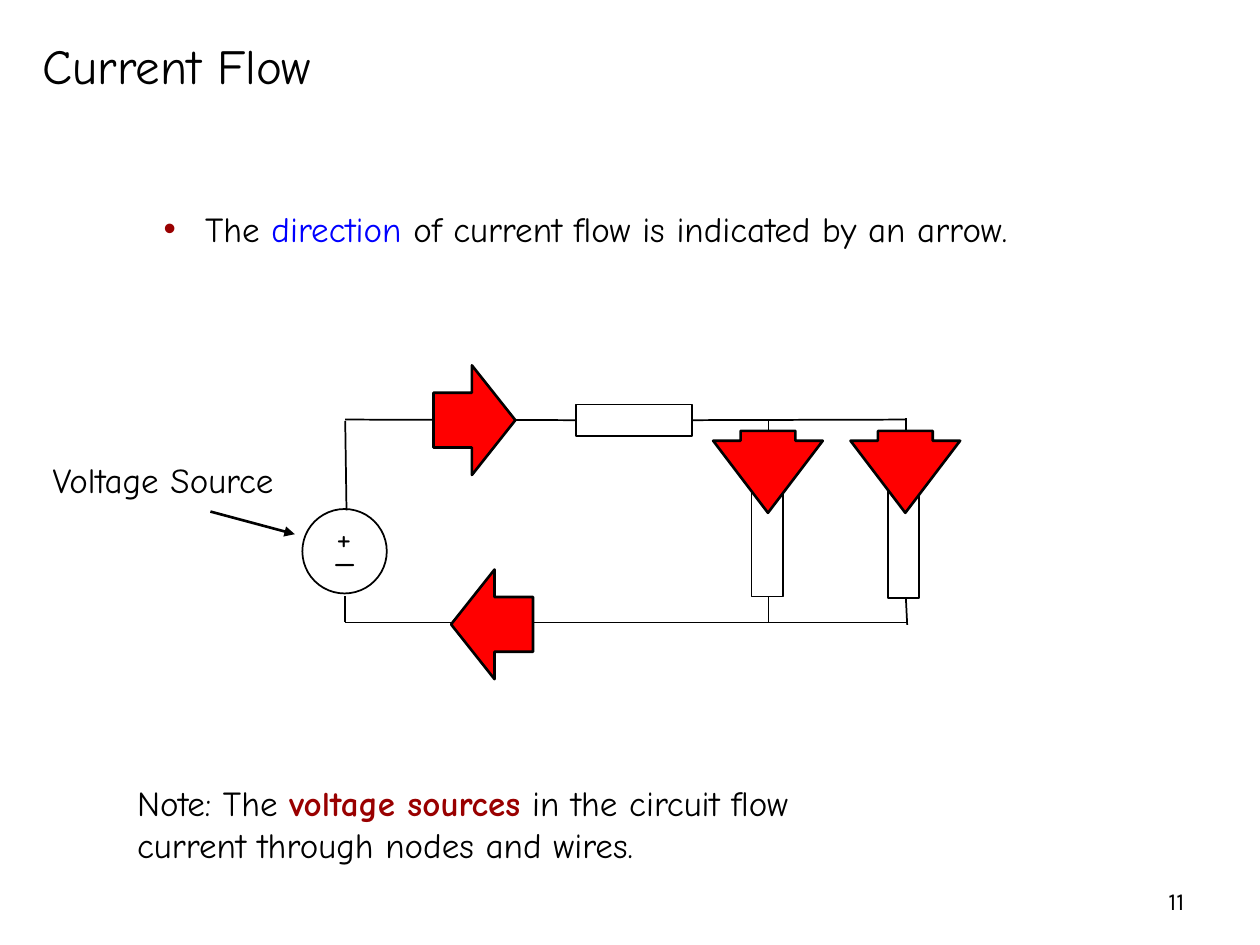
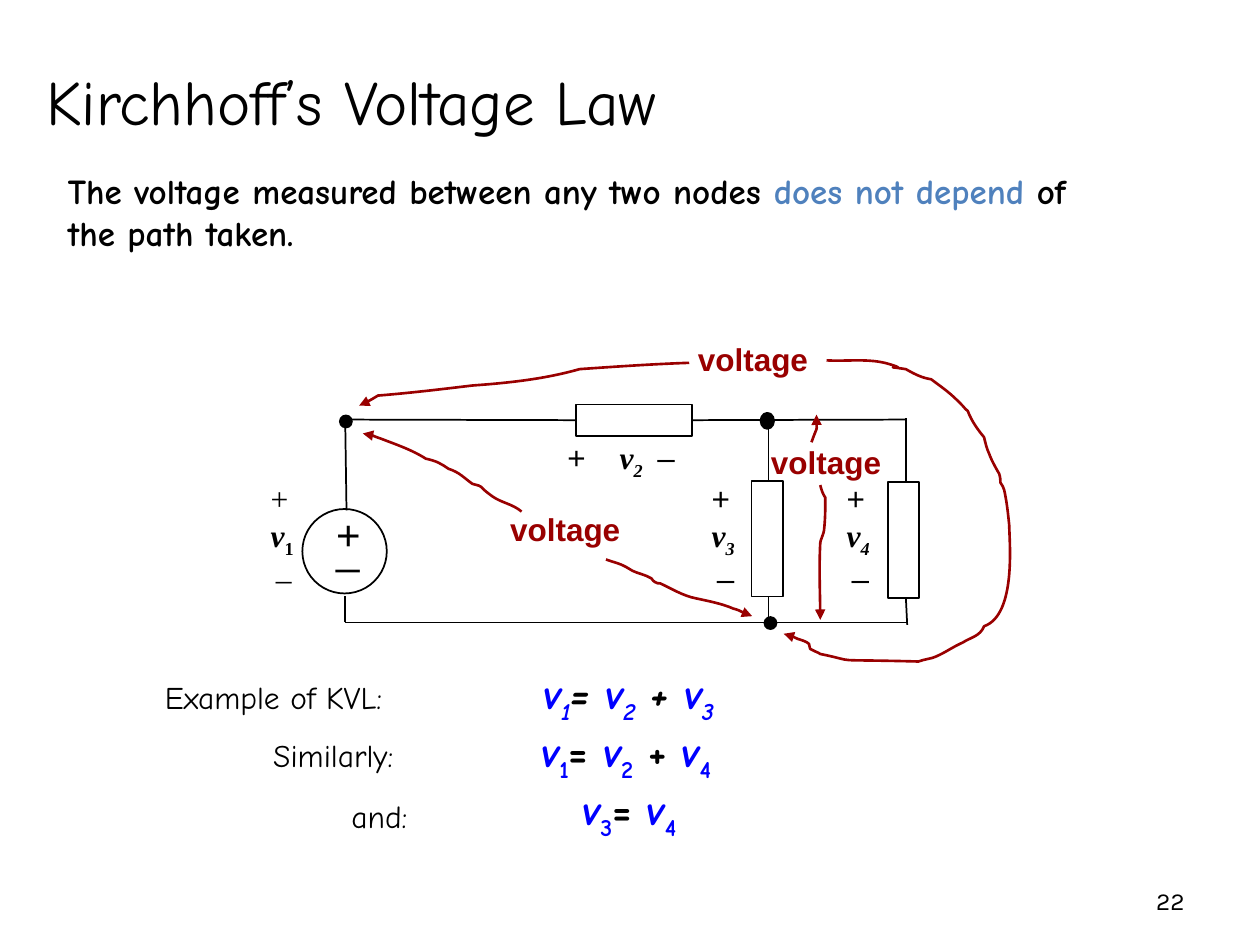
from lxml import etree
from pptx import Presentation
from pptx.dml.color import RGBColor
from pptx.enum.shapes import MSO_CONNECTOR, MSO_SHAPE
from pptx.enum.text import MSO_ANCHOR, MSO_AUTO_SIZE, PP_ALIGN
from pptx.oxml.ns import qn
from pptx.util import Pt

PX = 9144
RECT, OVAL = MSO_SHAPE.RECTANGLE, MSO_SHAPE.OVAL
ARROW = MSO_SHAPE.RIGHT_ARROW
STRAIGHT = MSO_CONNECTOR.STRAIGHT
TOP, MIDDLE = MSO_ANCHOR.TOP, MSO_ANCHOR.MIDDLE
LEFT, CENTER, RIGHT = PP_ALIGN.LEFT, PP_ALIGN.CENTER, PP_ALIGN.RIGHT
FIT = MSO_AUTO_SIZE.SHAPE_TO_FIT_TEXT
COLORS = {"black": "000000", "white": "FFFFFF", "red": "FF0000",
          "maroon": "990000", "blue": "0000FF", "steel": "4F81BD"}
HAND, SANS, SERIF, NUMBER = "Comic Neue", "Arial", "Times New Roman", "Karla"


def rgb(name):
    return RGBColor.from_string(COLORS[name])


class Deck:
    def __init__(self):
        self.prs = Presentation()
        self.prs.slide_width = 1000 * PX
        self.prs.slide_height = 750 * PX
        self.s = None

    def slide(self, number, title, box, size):
        self.s = self.prs.slides.add_slide(self.prs.slide_layouts[6])
        self.text((717, 695, 233, 40), str(number), 14, font=NUMBER,
                  align=RIGHT, anchor=MIDDLE, wrap=True)
        self.text(box, title, size, anchor=MIDDLE, wrap=True, fill="white")

    def text(self, box, content, size, font=HAND, color="black", bold=False,
             align=LEFT, anchor=TOP, wrap=False, fill=None):
        sp = self.s.shapes.add_textbox(*(v * PX for v in box))
        if fill:
            sp.fill.solid()
            sp.fill.fore_color.rgb = rgb(fill)
        tf = sp.text_frame
        tf.word_wrap = wrap
        tf.auto_size = FIT
        tf.vertical_anchor = anchor
        base = {"font": font, "color": color, "bold": bold}
        paragraphs = [[(content, {})]] if isinstance(content, str) else content
        for i, runs in enumerate(paragraphs):
            p = tf.add_paragraph() if i else tf.paragraphs[0]
            p.alignment = align
            for words, change in runs:
                if words == "\n":
                    p.add_line_break()
                else:
                    self.run(p, words, size, **{**base, **change})
        return tf.paragraphs

    def run(self, p, words, size, font, color, bold, italic=False, sub=False):
        r = p.add_run()
        r.text = words
        r.font.name, r.font.size = font, Pt(size)
        r.font.bold, r.font.italic = bold, italic
        r.font.color.rgb = rgb(color)
        if sub:
            r._r.get_or_add_rPr().set("baseline", "-25000")

    def indent(self, p, left, hanging=0):
        pPr = p._p.get_or_add_pPr()
        pPr.set("marL", str(left * PX))
        pPr.set("indent", str(-hanging * PX))
        return pPr

    def bullet(self, p, color, left):
        pPr = self.indent(p, left, left)
        clr = etree.SubElement(pPr, qn("a:buClr"))
        etree.SubElement(clr, qn("a:srgbClr"), val=COLORS[color])
        etree.SubElement(pPr, qn("a:buFont"), typeface=SANS)
        etree.SubElement(pPr, qn("a:buChar"), char="•")

    def tabs(self, p, *stops):
        tab_list = etree.SubElement(p._p.get_or_add_pPr(), qn("a:tabLst"))
        for stop in stops:
            etree.SubElement(tab_list, qn("a:tab"), pos=str(stop * PX), algn="l")

    def shape(self, kind, box, fill="white", width=1, turn=0):
        sp = self.s.shapes.add_shape(kind, *(v * PX for v in box))
        sp.shadow.inherit = False
        sp.rotation = turn
        sp.fill.solid()
        sp.fill.fore_color.rgb = rgb(fill)
        if width:
            self.stroke(sp, "black", width)
        else:
            sp.line.fill.background()
        return sp

    def flow_arrow(self, left, top, turn, head):
        sp = self.shape(ARROW, (left, top, 65, 87), "red", 1.5, turn)
        sp.adjustments[0], sp.adjustments[1] = 0.5, head

    def stroke(self, sp, color, width, arrow=False):
        sp.line.color.rgb = rgb(color)
        sp.line.width = Pt(width)
        if arrow:
            etree.SubElement(sp.line._get_or_add_ln(), qn("a:tailEnd"), type="triangle")

    def line(self, start, end, width=1, arrow=False):
        sp = self.s.shapes.add_connector(STRAIGHT, *(v * PX for v in start + end))
        self.stroke(sp, "black", width, arrow)
        etree.SubElement(sp._element.spPr, qn("a:effectLst"))
        return sp

    def curve(self, start, *beziers):
        points = [pair for b in beziers for pair in zip(b[::2], b[1::2])]
        builder = self.s.shapes.build_freeform(*start, scale=PX)
        builder.add_line_segments(points, close=False)
        sp = builder.convert_to_shape()
        segments = list(sp._element.iter(qn("a:lnTo")))
        for i in range(0, len(segments), 3):
            bezier = etree.Element(qn("a:cubicBezTo"))
            segments[i].addprevious(bezier)
            for segment in segments[i:i + 3]:
                bezier.append(segment[0])
                segment.getparent().remove(segment)
        sp.shadow.inherit = False
        sp.fill.background()
        self.stroke(sp, "maroon", 1.5, arrow=True)

    def circuit(self):
        self.shape(OVAL, (240, 404, 67, 67))
        for start, end in (((274, 334), (275, 405)), ((274, 488), (274, 473)),
                           ((610, 494), (610, 474)), ((610, 334), (610, 382)),
                           ((719, 332), (719, 382)), ((720, 496), (719, 475)),
                           ((274, 494), (719, 494)), ((274, 494), (274, 478))):
            self.line(start, end)
        feed = self.line((274, 333), (460, 333))
        branch = self.line((550, 333), (719, 333))
        for left, top in ((563, 415), (671, 416)):
            self.shape(RECT, (left, top, 92, 25), turn=270)
        series = self.shape(RECT, (457, 321, 92, 25))
        feed.end_connect(series, 1)
        branch.begin_connect(series, 3)

    def polarity(self, tops, width, size, font):
        for sign, top in zip("+_", tops):
            self.text((257, top, width, 44), sign, size, font)

    def voltage_drop(self, left, index, font, italic):
        mark = {"font": font}
        name = {"font": SERIF, "bold": True}
        ps = self.text((left, 375, 52, 110), [
            [("+", mark)],
            [("v", {**name, "italic": True}),
             (index, {**name, "italic": italic, "sub": True})],
            [("–", mark)]], 18)
        self.indent(ps[2], 4)

    def equation(self, box, left, right, italic=False):
        def term(index):
            return [("v", {"color": "blue", "italic": True}),
                    (index, {"color": "blue", "italic": italic, "sub": True})]
        runs = term(left) + [("= ", {"italic": italic})] + term(right[0])
        for index in right[1:]:
            runs += [(" + ", {"italic": italic})] + term(index)
        self.text(box, [runs], 24, bold=True, align=CENTER)


def current_flow(d):
    d.slide(11, "Current Flow", (24, 23, 386, 57), 28)
    d.circuit()
    ps = d.text((120, 160, 753, 44), [[
        ("The ", {}), ("direction", {"color": "blue"}),
        (" of current flow is indicated by an arrow.", {})]], 20)
    d.bullet(ps[0], "maroon", 33)
    d.text((99, 615, 627, 77), [[
        ("Note: The ", {}), ("voltage sources", {"color": "maroon", "bold": True}),
        (" in the circuit flow", {}), ("\n", {}),
        ("current through nodes and wires.", {})]], 20)
    d.flow_arrow(344, 290, 0, 0.53)
    for left in (577, 686):
        d.flow_arrow(left, 331, 90, 0.88)
    d.polarity((404, 415), 36, 20, HAND)
    d.flow_arrow(358, 452, 180, 0.53)
    d.text((15, 359, 229, 44), "Voltage Source", 20, align=CENTER,
           wrap=True, fill="white")
    d.line((167, 406), (234, 424), 1.5, arrow=True)


def voltage_paths(d):
    d.curve((414, 406), (407, 400, 398, 399, 391, 394),
            (377, 384, 386, 387, 375, 384), (368, 379, 365, 375, 356, 372),
            (350, 368, 347, 366, 338, 364), (327, 357, 315, 353, 302, 348),
            (296, 346, 294, 344, 288, 344))
    d.curve((481, 444), (486, 446, 492, 447, 497, 450),
            (499, 451, 500, 452, 502, 453), (506, 455, 512, 456, 517, 459),
            (518, 460, 519, 462, 520, 462), (521, 463, 523, 463, 524, 463),
            (533, 467, 542, 473, 553, 475), (562, 477, 573, 479, 582, 483),
            (586, 484, 590, 486, 593, 488), (595, 488, 597, 489, 597, 489))
    d.curve((547, 288), (518, 289, 489, 291, 460, 293),
            (432, 301, 403, 304, 375, 306), (350, 309, 325, 312, 300, 314),
            (295, 317, 290, 320, 285, 322))
    d.curve((656, 286), (672, 287, 690, 284, 706, 289),
            (726, 295, 693, 289, 719, 293), (726, 297, 732, 300, 739, 301),
            (747, 307, 753, 311, 760, 318), (761, 319, 763, 321, 764, 322),
            (765, 324, 768, 326, 768, 326), (771, 334, 776, 341, 781, 347),
            (782, 351, 783, 356, 785, 360), (787, 366, 793, 376, 793, 376),
            (794, 379, 794, 381, 794, 383), (795, 385, 797, 387, 797, 389),
            (799, 398, 800, 407, 801, 417), (801, 429, 807, 488, 781, 497),
            (778, 505, 770, 506, 764, 510), (757, 513, 750, 518, 743, 521),
            (739, 523, 734, 523, 729, 525), (652, 523, 685, 526, 651, 519),
            (650, 519, 649, 517, 647, 517), (646, 516, 644, 516, 643, 515),
            (642, 514, 643, 512, 642, 511), (640, 509, 636, 508, 633, 507),
            (631, 506, 629, 505, 626, 504), (625, 504, 622, 503, 622, 503))
    d.curve((651, 385), (652, 389, 653, 392, 655, 395),
            (655, 404, 655, 412, 654, 421), (654, 423, 651, 429, 651, 431),
            (650, 451, 651, 472, 651, 492))
    d.curve((644, 351), (649, 337, 648, 345, 648, 329))


def voltage_law(d):
    d.slide(22, "Kirchhoff’s Voltage Law", (27, 44, 638, 71), 36)
    d.circuit()
    d.polarity((399, 410), 40, 24, SANS)
    name = {"font": SERIF, "bold": True, "italic": True}
    ps = d.text((440, 343, 126, 43), [[
        ("+\t", {"italic": True}), ("v", name), ("2", {**name, "sub": True}),
        ("\t–", {})]], 18, SANS, wrap=True)
    d.tabs(ps[0], 42, 72)
    for left, index, font, italic in ((555, "3", SANS, True),
                                      (662, "4", SANS, True),
                                      (205, "1", SERIF, False)):
        d.voltage_drop(left, index, font, italic)
    d.text((44, 130, 834, 77), [[
        ("The voltage measured between any two nodes ", {}),
        ("does not depend ", {"color": "steel"}),
        ("of the path taken.", {})]], 20, bold=True, wrap=True)
    for box, width in (((269, 329, 11, 11), 0), ((606, 489, 11, 11), 0),
                       ((604, 328, 10, 12), 1.5)):
        d.shape(OVAL, box, "black", width)
    voltage_paths(d)
    for left, top in ((395, 400), (544, 265), (602, 347)):
        d.text((left, top, 108, 40), "voltage", 18, SANS, "maroon", bold=True)
    for box, label in (((121, 533, 212, 40), "Example of KVL:"),
                       ((207, 579, 131, 40), "Similarly:"),
                       ((269, 628, 69, 40), "and:")):
        d.text(box, label, 18)
    d.equation((399, 525, 200, 50), "1", "23", italic=True)
    d.equation((397, 571, 200, 50), "1", "24")
    d.equation((442, 617, 115, 50), "3", "4")


def main():
    d = Deck()
    current_flow(d)
    voltage_law(d)
    d.prs.save("out.pptx")


if __name__ == "__main__":
    main()
